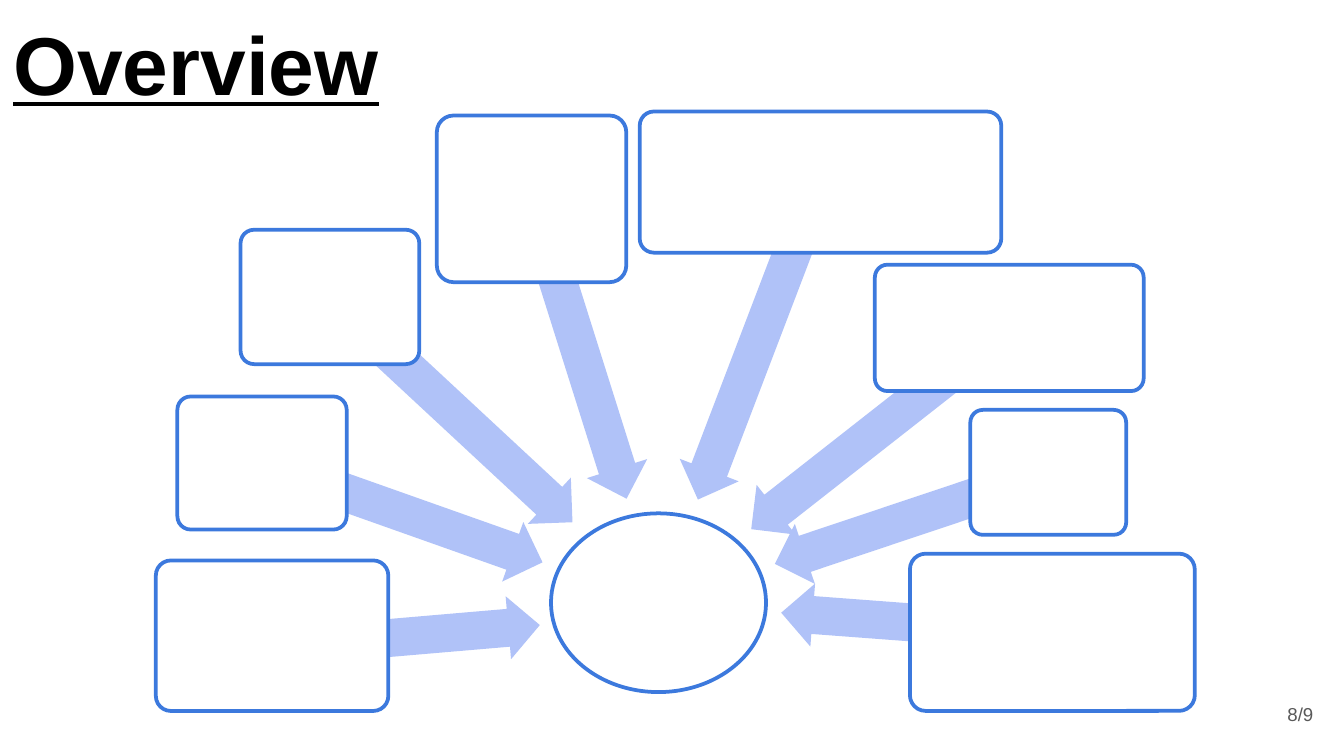
from dataclasses import dataclass

from pptx import Presentation
from pptx.dml.color import RGBColor
from pptx.enum import shapes, text
from pptx.util import Inches, Pt


@dataclass(frozen=True)
class Theme:
    font: str = "Arial"
    title_size: int = 44
    number_size: int = 10
    title_color: str = "000000"
    number_color: str = "595959"
    box_fill: str = "FFFFFF"
    box_line: str = "3C79DD"
    arrow_fill: str = "B0C2F8"
    line_width: int = 2


THEME = Theme()
ARROW_HEIGHT = 0.47
HUB = (4.1, 3.82, 1.6, 1.33)

# Clockwise from lower left: box (left, top, width, height),
# arrow (left, top, length, rotation)
SPOKES = [
    ((1.16, 4.17, 1.73, 1.12), (2.05, 4.5, 1.97, 175.1)),
    ((1.32, 2.95, 1.26, 0.99), (1.89, 3.58, 2.21, 199.5)),
    ((1.79, 1.71, 1.33, 1.0), (2.12, 2.81, 2.47, 222.9)),
    ((3.25, 0.86, 1.41, 1.24), (3.14, 2.36, 2.34, 252.5)),
    ((4.76, 0.83, 2.69, 1.05), (4.38, 2.3, 2.53, 290.9)),
    ((6.51, 1.97, 2.0, 0.94), (5.33, 2.95, 2.44, 321.9)),
    ((7.22, 3.05, 1.16, 0.93), (5.71, 3.62, 2.15, 341.5)),
    ((6.77, 4.12, 2.12, 1.17), (5.81, 4.4, 2.02, 4.3)),
]


def place(shape, left, top, width, height):
    shape.left, shape.top = Inches(left), Inches(top)
    shape.width, shape.height = Inches(width), Inches(height)


def write_text(shape, words, *, size, color, bold=False, underline=False,
               align=text.PP_ALIGN.LEFT, anchor=text.MSO_ANCHOR.TOP):
    frame = shape.text_frame
    frame.word_wrap = True
    frame.auto_size = text.MSO_AUTO_SIZE.NONE
    frame.vertical_anchor = anchor
    frame.margin_left = frame.margin_right = Inches(0.1)
    frame.margin_top = frame.margin_bottom = Inches(0.1)
    paragraph = frame.paragraphs[0]
    paragraph.alignment = align
    run = paragraph.add_run()
    run.text = words
    run.font.name = THEME.font
    run.font.size = Pt(size)
    run.font.bold = bold
    run.font.underline = underline
    run.font.color.rgb = RGBColor.from_string(color)


def add_filled(group, kind, position, fill, line=None):
    shape = group.shapes.add_shape(kind, *map(Inches, position))
    shape.shadow.inherit = False
    shape.fill.solid()
    shape.fill.fore_color.rgb = RGBColor.from_string(fill)
    if line:
        shape.line.color.rgb = RGBColor.from_string(line)
        shape.line.width = Pt(THEME.line_width)
    else:
        shape.line.fill.background()
    return shape


def add_box(group, position):
    box = add_filled(group, shapes.MSO_SHAPE.ROUNDED_RECTANGLE, position,
                     THEME.box_fill, THEME.box_line)
    box.adjustments[0] = 0.1


def add_arrow(group, left, top, length, rotation):
    arrow = add_filled(group, shapes.MSO_SHAPE.LEFT_ARROW,
                       (left, top, length, ARROW_HEIGHT), THEME.arrow_fill)
    arrow.adjustments[0] = 0.6
    arrow.adjustments[1] = 0.5
    arrow.rotation = rotation


def add_radial_diagram(slide):
    group = slide.shapes.add_group_shape()
    add_filled(group, shapes.MSO_SHAPE.OVAL, HUB,
               THEME.box_fill, THEME.box_line)
    for box, arrow in SPOKES:
        add_arrow(group, *arrow)
        add_box(group, box)


def main():
    # Widescreen 16:9 page
    presentation = Presentation()
    presentation.slide_width = Inches(10)
    presentation.slide_height = Inches(10 * 9 / 16)
    slide = presentation.slides.add_slide(presentation.slide_layouts[5])

    # Title
    title = slide.shapes.title
    place(title, 0, 0, 9.32, 0.63)
    write_text(title, "Overview", size=THEME.title_size,
               color=THEME.title_color, bold=True, underline=True)

    # Page number
    number = slide.shapes.add_textbox(
        Inches(9.27), Inches(5.1), Inches(0.6), Inches(0.43))
    write_text(number, "8/9", size=THEME.number_size,
               color=THEME.number_color, align=text.PP_ALIGN.RIGHT,
               anchor=text.MSO_ANCHOR.MIDDLE)

    # Hub with boxes pointing to it
    add_radial_diagram(slide)

    presentation.save("out.pptx")


if __name__ == "__main__":
    main()
